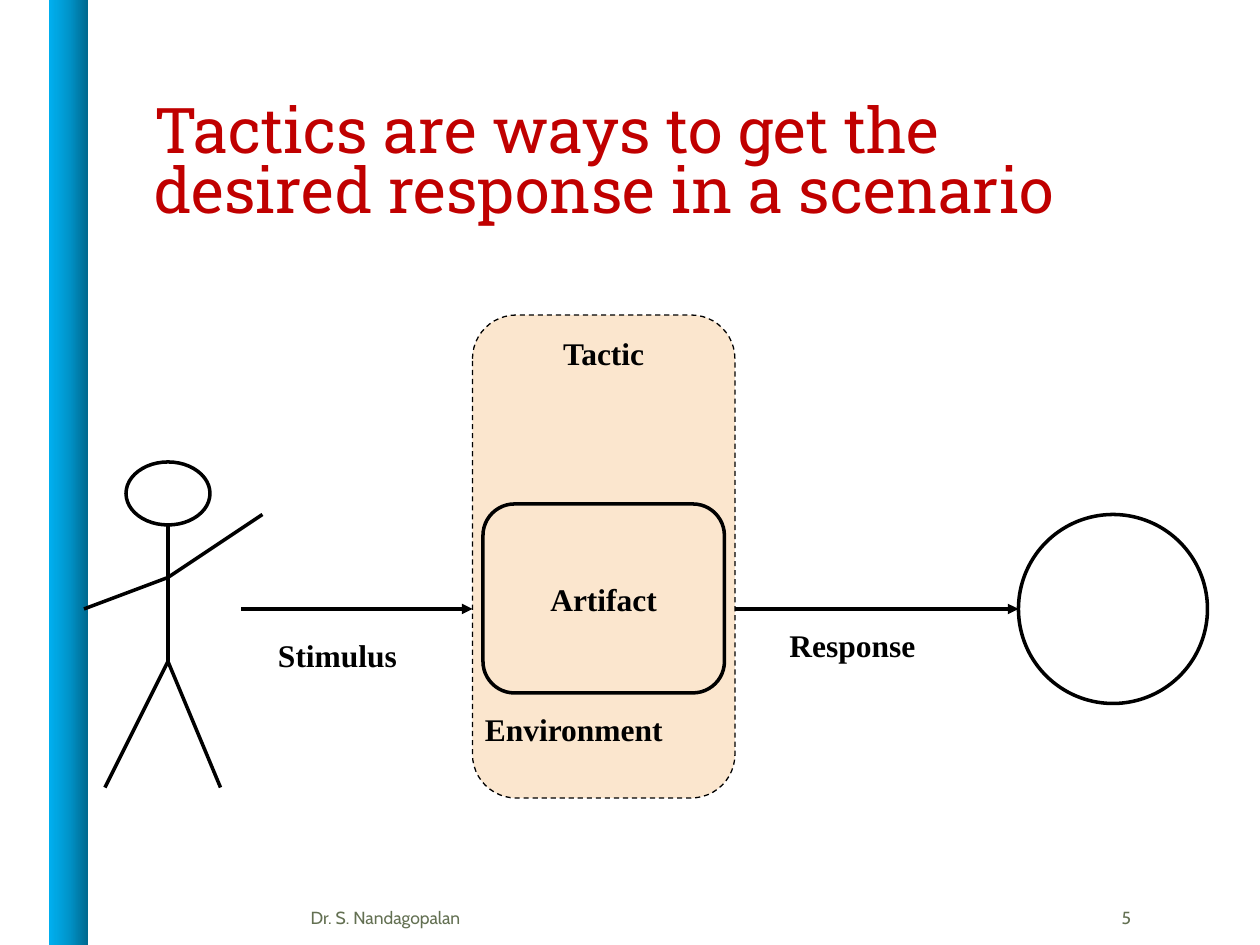
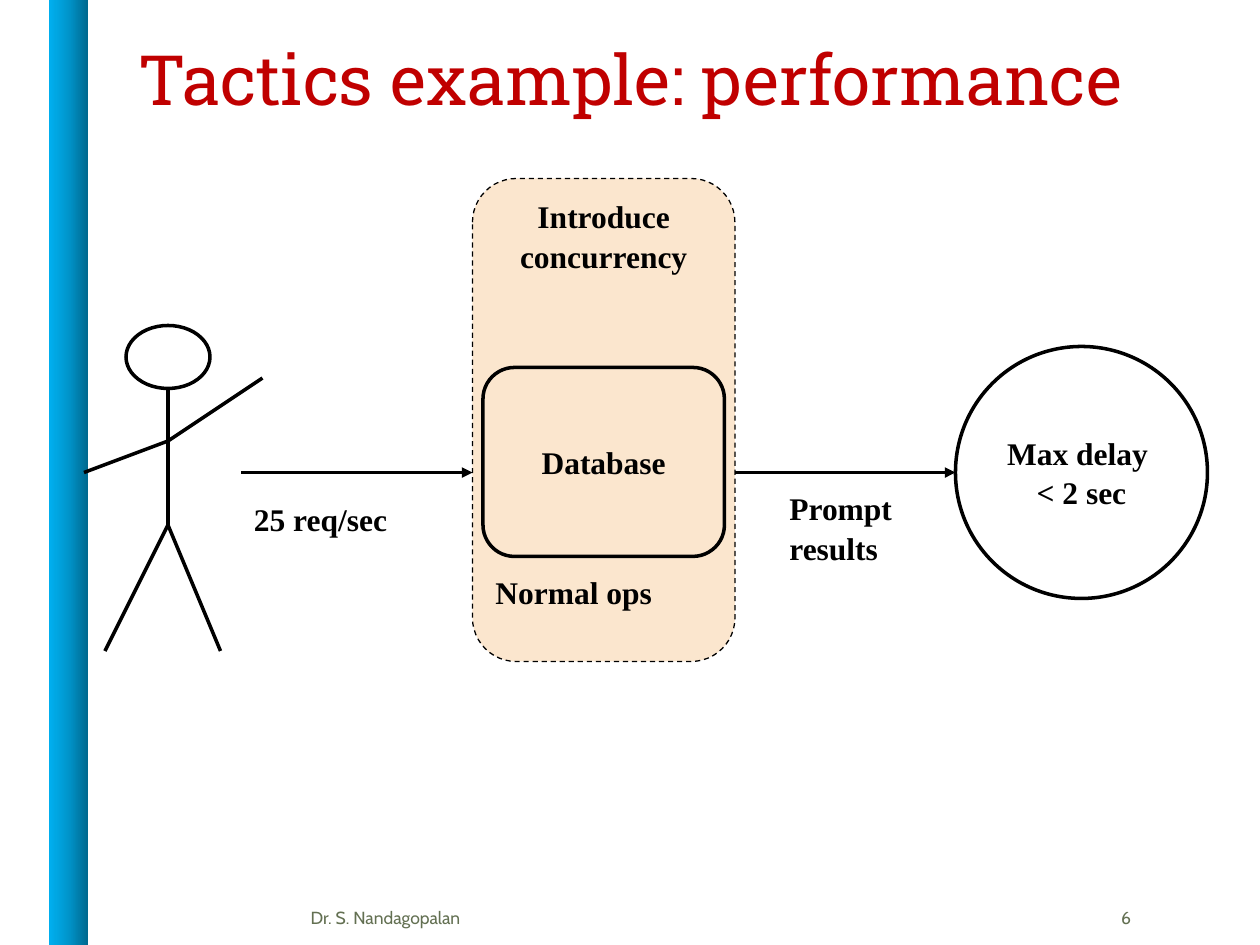
import copy
from dataclasses import dataclass

import pptx
import pptx.dml.color
import pptx.enum.dml
import pptx.enum.shapes
import pptx.enum.text
import pptx.oxml
import pptx.oxml.ns
import pptx.util

COLS, ROWS = 120, 90
SHAPE = pptx.enum.shapes.MSO_SHAPE
ALIGN = pptx.enum.text.PP_ALIGN
ANCHOR = pptx.enum.text.MSO_ANCHOR
qn = pptx.oxml.ns.qn


@dataclass(frozen=True)
class Theme:
    """Colours, fonts, type sizes and line widths."""
    ink: str = "000000"
    red: str = "C00000"
    moss: str = "637052"
    sand: str = "FBE6CE"
    blues: tuple = ("00688E", "0094CA", "00B0F0")
    head: str = "Roboto Slab"
    body: str = "Times New Roman"
    foot: str = "Cabin"
    large: float = 39.6
    title: float = 36
    label: float = 18
    small: float = 10
    thick: float = 2
    thin: float = 0.75


def rgb(code):
    """Turn a hex code into a colour."""
    return pptx.dml.color.RGBColor.from_string(code)


class Deck:
    """Draws styled elements on the current slide, in grid units."""

    def __init__(self, theme):
        self.theme = theme
        self.show = pptx.Presentation()
        self.show.slide_width = pptx.util.Inches(10)
        self.show.slide_height = pptx.util.Inches(7.5)
        self.slide = None
        self.drop = 0

    def x(self, col):
        """Give the length of a number of columns."""
        return round(self.show.slide_width * col / COLS)

    def y(self, row):
        """Give the length of a number of rows."""
        return round(self.show.slide_height * row / ROWS)

    def place(self, col, row, wide, high):
        """Give a box in slide units, moved by the current drop."""
        return self.x(col), self.y(row + self.drop), self.x(wide), self.y(high)

    def page(self, title, box, size, number):
        """Start a slide with its band, title and footer."""
        look = self.theme
        self.slide = self.show.slides.add_slide(self.show.slide_layouts[6])
        self.drop = 0
        self.band()
        self.text(title, box, look.head, size, look.red, space=0.8)
        self.text("Dr. S. Nandagopalan", (28.4, 84.7, 61.8, 5.3), look.foot,
                  look.small, look.moss, anchor=ANCHOR.MIDDLE)
        self.text(str(number), (93.2, 84.7, 15.7, 5.3), look.foot,
                  look.small, look.moss, ALIGN.RIGHT, ANCHOR.MIDDLE)

    def band(self):
        """Draw the blue band along the left side."""
        bar = self.shape(SHAPE.RECTANGLE, (4.7, 0, 3.7, ROWS), width=0)
        bar.fill.gradient()
        bar.fill.gradient_angle = 180
        stops = bar._element.spPr.find(qn("a:gradFill")).find(qn("a:gsLst"))
        stops.insert(1, copy.deepcopy(stops[0]))
        for rank, stop in enumerate(bar.fill.gradient_stops):
            stop.color.rgb = rgb(self.theme.blues[rank])
            stop.position = rank / 2

    def shape(self, kind, box, width=None, fill=None, dash=False, text="",
              anchor=ANCHOR.MIDDLE):
        """Draw a preset shape with an optional fill and label."""
        look = self.theme
        item = self.slide.shapes.add_shape(kind, *self.place(*box))
        item.shadow.inherit = False
        if fill:
            item.fill.solid()
            item.fill.fore_color.rgb = rgb(fill)
        else:
            item.fill.background()
        if width == 0:
            item.line.fill.background()
        else:
            item.line.color.rgb = rgb(look.ink)
            item.line.width = pptx.util.Pt(width or look.thick)
        if dash:
            item.line.dash_style = pptx.enum.dml.MSO_LINE.DASH
        if text:
            self.letter(item.text_frame, text, look.body, look.label, look.ink,
                        ALIGN.CENTER, anchor, bold=True)
        return item

    def line(self, start, end, arrow=False):
        """Draw a line, with an arrowhead at its end if asked."""
        (left, top), (right, low) = start, end
        item = self.slide.shapes.add_connector(
            pptx.enum.shapes.MSO_CONNECTOR.STRAIGHT,
            self.x(left), self.y(top + self.drop),
            self.x(right), self.y(low + self.drop))
        item.line.color.rgb = rgb(self.theme.ink)
        item.line.width = pptx.util.Pt(self.theme.thick)
        props = item._element.spPr
        if arrow:
            tail = pptx.oxml.parse_xml(
                f'<a:tailEnd {pptx.oxml.ns.nsdecls("a")} type="triangle"/>')
            props.find(qn("a:ln")).append(tail)
        props.append(props.makeelement(qn("a:effectLst"), {}))

    def text(self, words, box, font, size, color, align=ALIGN.LEFT,
             anchor=ANCHOR.TOP, bold=False, space=None):
        """Add a text box."""
        item = self.slide.shapes.add_textbox(*self.place(*box))
        self.letter(item.text_frame, words, font, size, color, align, anchor,
                    bold, space)

    def label(self, words, col, row, wide):
        """Add a bold label in the diagram."""
        look = self.theme
        high = 6 + 5 * words.count("\n")
        self.text(words, (col, row, wide, high), look.body, look.label,
                  look.ink, bold=True)

    def letter(self, frame, words, font, size, color, align, anchor,
               bold=False, space=None):
        """Fill a text frame and format its runs."""
        frame.text = words
        frame.word_wrap = True
        frame.vertical_anchor = anchor
        for para in frame.paragraphs:
            para.alignment = align
            if bold:
                para.space_before = pptx.util.Pt(1)
            if space:
                para.line_spacing = space
            for run in para.runs:
                run.font.name = font
                run.font.size = pptx.util.Pt(size)
                run.font.bold = bold
                run.font.color.rgb = rgb(color)

    def actor(self):
        """Draw the stick figure."""
        neck, chest, hip = (16, 50), (16, 55), (16, 63)
        self.shape(SHAPE.OVAL, (12, 44, 8, 6))
        for start, end in ((neck, hip), (hip, (10, 75)), (hip, (21, 75)),
                           ((8, 58), chest), (chest, (25, 49))):
            self.line(start, end)

    def scene(self, drop, tactic, core, around, cause, reply, goal, size):
        """Draw a scenario: actor, stimulus, tactic, response and goal."""
        self.drop = drop
        mid, edge = 58, 115 - size
        self.shape(SHAPE.ROUNDED_RECTANGLE, (45, 30, 25, 46), self.theme.thin,
                   self.theme.sand, True, tactic, ANCHOR.TOP)
        self.actor()
        self.line((23, mid), (45, mid), True)
        self.shape(SHAPE.ROUNDED_RECTANGLE, (46, 48, 23, 18), text=core)
        self.line((70, mid), (edge, mid), True)
        self.shape(SHAPE.OVAL, (edge, mid - size / 2, size, size), text=goal)
        self.label(*around)
        self.label(*cause)
        self.label(*reply)


def main():
    """Build and save both slides."""
    look = Theme()
    deck = Deck(look)
    deck.page("Tactics are ways to get the desired response in a scenario",
              (13.5, 9.4, 94.5, 19.5), look.title, 5)
    deck.scene(0, "Tactic", "Artifact", ("Environment", 45, 67, 25),
               ("Stimulus", 25.3, 60, 17.5), ("Response", 74, 59, 18.5),
               "", 18)
    deck.page("Tactics example: performance", (12, 4.4, 102, 13),
              look.large, 6)
    deck.scene(-13, "Introduce\nconcurrency", "Database",
               ("Normal ops", 46, 67, 22.3), ("25 req/sec", 23, 60, 21),
               ("Prompt\nresults", 74, 59, 15.5), "Max delay \n< 2 sec", 24)
    deck.show.save("out.pptx")


if __name__ == "__main__":
    main()
